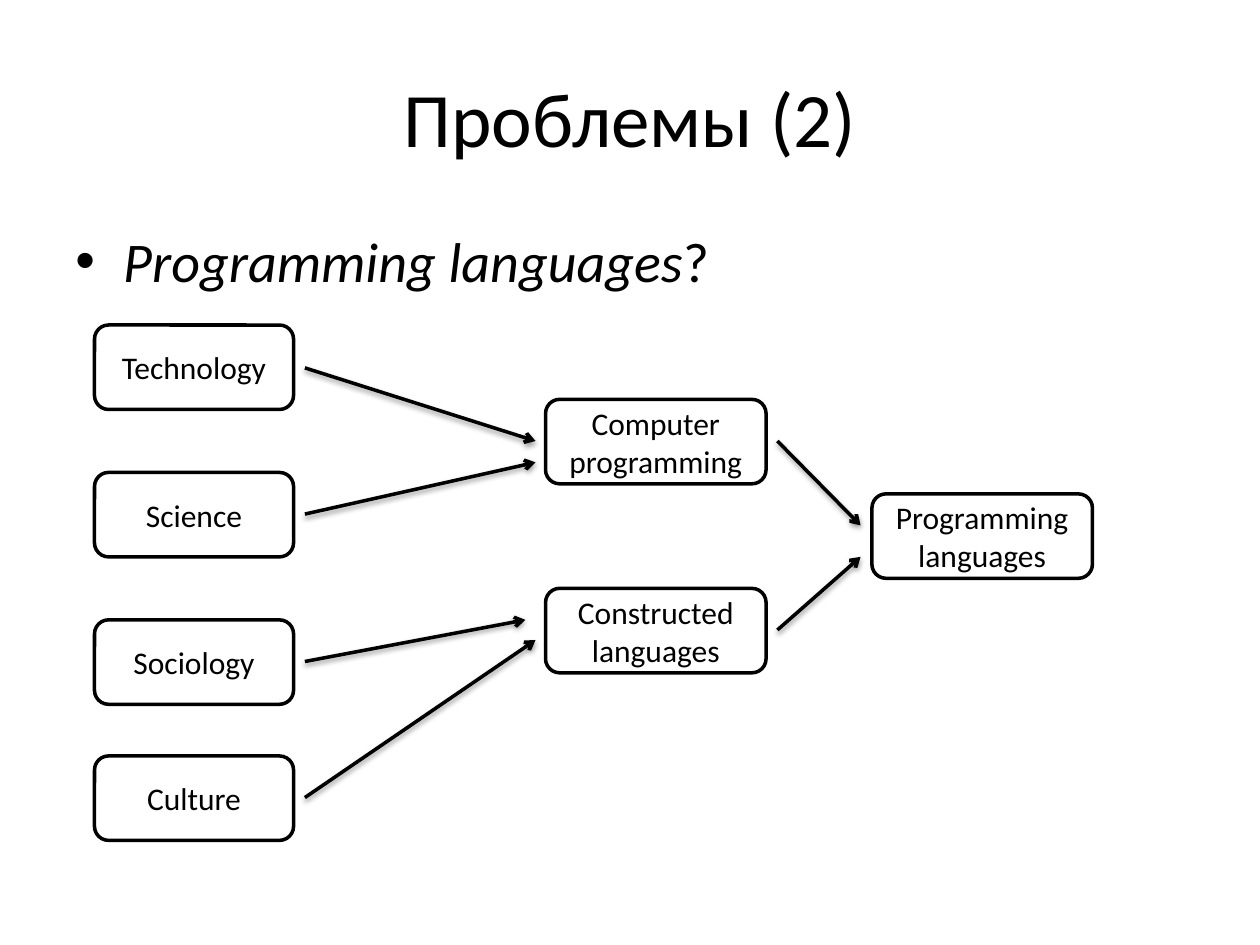
"""Builds a slide that traces programming languages back to their source fields."""
from lxml import etree
from pptx import Presentation
from pptx import util as u
from pptx.dml.color import RGBColor
from pptx.enum import shapes, text
from pptx.oxml import ns

COLORS = {"ink": "000000", "paper": "FFFFFF"}
FONT = "Calibri"
BOX_H = 0.67


def style(p, size, align):
    p.alignment = align
    for r in p.runs:
        r.font.name = FONT
        r.font.size = u.Pt(size)
        r.font.color.rgb = RGBColor.from_string(COLORS["ink"])


prs = Presentation()
prs.slide_width, prs.slide_height = u.Inches(10), u.Inches(7.5)
s = prs.slides.add_slide(prs.slide_layouts[5])

title = s.shapes.title
title.left, title.top = u.Inches(0.5), u.Inches(0.3)
title.width, title.height = u.Inches(9), u.Inches(1.25)
title.text_frame.text = "Проблемы (2)"
title.text_frame.vertical_anchor = text.MSO_ANCHOR.MIDDLE
style(title.text_frame.paragraphs[0], 44, text.PP_ALIGN.CENTER)

body = s.shapes.add_textbox(u.Inches(0.5), u.Inches(1.75), u.Inches(9), u.Inches(4.95))
tf = body.text_frame
tf.word_wrap = True
p = tf.paragraphs[0]
for words, italic in (("Programming languages", True), ("?", False)):
    r = p.add_run()
    r.text = words
    r.font.italic = italic
style(p, 32, text.PP_ALIGN.LEFT)
pPr = p._p.get_or_add_pPr()
pPr.set("marL", str(u.Inches(0.38)))
pPr.set("indent", str(-u.Inches(0.38)))
etree.SubElement(pPr, ns.qn("a:buFont"), typeface="Arial")
etree.SubElement(pPr, ns.qn("a:buChar"), char="•")

boxes = [
    ("Programming languages", 6.92, 3.92, 1.75),
    ("Computer programming", 4.33, 3.17, 1.75),
    ("Constructed languages", 4.33, 4.67, 1.75),
    ("Technology", 0.75, 2.58, 1.58),
    ("Science", 0.75, 3.75, 1.58),
    ("Sociology", 0.75, 4.92, 1.58),
    ("Culture", 0.75, 6, 1.58),
]
for label, x, y, w in boxes:
    sp = s.shapes.add_shape(shapes.MSO_SHAPE.ROUNDED_RECTANGLE,
                            u.Inches(x), u.Inches(y), u.Inches(w), u.Inches(BOX_H))
    sp.shadow.inherit = False
    sp.fill.solid()
    sp.fill.fore_color.rgb = RGBColor.from_string(COLORS["paper"])
    sp.line.color.rgb = RGBColor.from_string(COLORS["ink"])
    sp.line.width = u.Pt(2)
    tf = sp.text_frame
    tf.word_wrap = True
    tf.vertical_anchor = text.MSO_ANCHOR.MIDDLE
    tf.text = label
    style(tf.paragraphs[0], 18, text.PP_ALIGN.CENTER)

arrows = [
    (2.42, 2.92, 4.25, 3.5),
    (2.42, 4.08, 4.25, 3.67),
    (2.42, 5.25, 4.17, 4.92),
    (2.42, 6.33, 4.25, 5.08),
    (6.17, 3.5, 6.83, 4.17),
    (6.17, 5, 6.83, 4.42),
]
for ends in arrows:
    c = s.shapes.add_connector(shapes.MSO_CONNECTOR.STRAIGHT, *map(u.Inches, ends))
    c.line.color.rgb = RGBColor.from_string(COLORS["ink"])
    c.line.width = u.Pt(2)
    etree.SubElement(c.line._get_or_add_ln(), ns.qn("a:tailEnd"), type="arrow")

prs.save("out.pptx")
